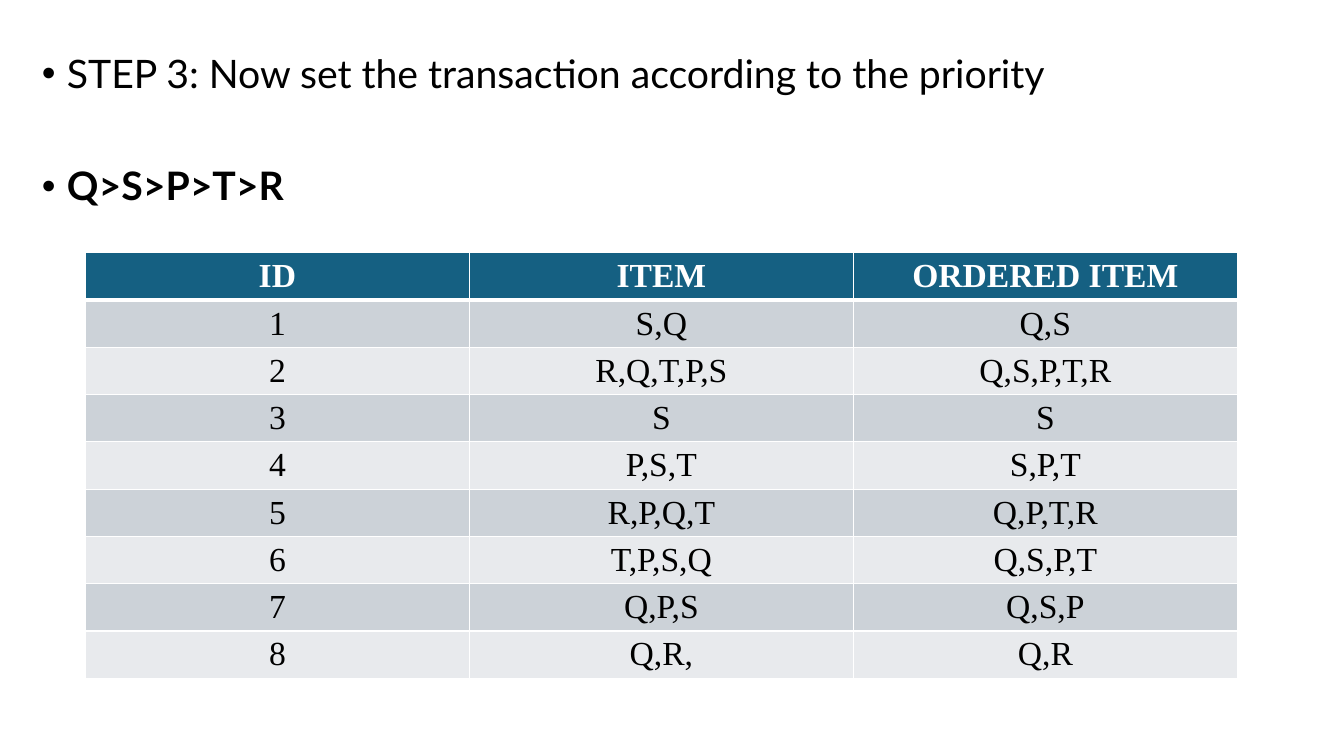
from dataclasses import dataclass

from lxml.etree import SubElement
from pptx import Presentation
from pptx.dml.color import RGBColor
from pptx.enum.text import MSO_ANCHOR, MSO_AUTO_SIZE, PP_ALIGN
from pptx.oxml.ns import qn
from pptx.util import Inches, Pt


@dataclass(frozen=True)
class Theme:
    body_font: str = "Lato"
    table_font: str = "Times New Roman"
    body_size: int = 28
    table_size: int = 24
    black: str = "000000"
    white: str = "FFFFFF"
    header: str = "156082"
    bands: tuple = ("CCD2D8", "E8EAED")
    rule: int = 1
    header_rule: int = 3


THEME = Theme()
WIDTH, HEIGHT = Inches(13.33), Inches(7.5)
GRID_COLUMNS, GRID_ROWS = 14, 18

STEPS = [
    ("STEP 3: Now set the transaction according to the priority", False, 0),
    ("Q>S>P>T>R", True, 50),
]
HEADINGS = ("ID", "ITEM", "ORDERED ITEM")
TRANSACTIONS = [
    ("S,Q", "Q,S"),
    ("R,Q,T,P,S", "Q,S,P,T,R"),
    ("S", "S"),
    ("P,S,T", "S,P,T"),
    ("R,P,Q,T", "Q,P,T,R"),
    ("T,P,S,Q", "Q,S,P,T"),
    ("Q,P,S", "Q,S,P"),
    ("Q,R,", "Q,R"),
]


def columns(n):
    return round(WIDTH * n / GRID_COLUMNS)


def rows(n):
    return round(HEIGHT * n / GRID_ROWS)


def set_attributes(obj, values):
    for name, value in values.items():
        setattr(obj, name, value)


def add_run(p, text, font, size, color, bold):
    r = p.add_run()
    r.text = text
    set_attributes(r.font, {"name": font, "size": Pt(size), "bold": bold})
    r.font.color.rgb = RGBColor.from_string(color)


def add_bullet(p):
    pPr = p._p.get_or_add_pPr()
    set_attributes(p, {"level": 0})
    pPr.set("marL", str(Inches(0.25)))
    pPr.set("indent", str(-Inches(0.25)))
    SubElement(pPr, qn("a:buFont"), typeface="Arial")
    SubElement(pPr, qn("a:buChar"), char="•")


def fill_body(sp, steps):
    set_attributes(sp, {"left": columns(0.33), "top": rows(1.18),
                        "width": columns(13.2), "height": rows(15.02)})
    tf = sp.text_frame
    set_attributes(tf, {"word_wrap": True, "auto_size": MSO_AUTO_SIZE.NONE,
                        "vertical_anchor": MSO_ANCHOR.TOP})
    for i, (text, bold, gap) in enumerate(steps):
        p = tf.add_paragraph() if i else tf.paragraphs[0]
        add_bullet(p)
        set_attributes(p, {"line_spacing": 0.9, "space_before": Pt(gap)})
        add_run(p, text, THEME.body_font, THEME.body_size, THEME.black, bold)


def add_borders(cell, top, bottom):
    tcPr = cell._tc.get_or_add_tcPr()
    sides = {"L": THEME.rule, "R": THEME.rule, "T": top, "B": bottom}
    for side, width in sides.items():
        ln = SubElement(tcPr, qn(f"a:ln{side}"), w=str(Pt(width)))
        SubElement(SubElement(ln, qn("a:solidFill")), qn("a:srgbClr"), val=THEME.white)


def format_cell(cell, text, row):
    is_header = row == 0
    add_borders(cell,
                THEME.header_rule if row == 1 else THEME.rule,
                THEME.header_rule if is_header else THEME.rule)
    fill = THEME.header if is_header else THEME.bands[(row - 1) % 2]
    cell.fill.solid()
    cell.fill.fore_color.rgb = RGBColor.from_string(fill)
    p = cell.text_frame.paragraphs[0]
    p.alignment = PP_ALIGN.CENTER
    color = THEME.white if is_header else THEME.black
    add_run(p, text, THEME.table_font, THEME.table_size, color, is_header)


def add_transaction_table(slide):
    records = [HEADINGS] + [(str(i), *items) for i, items in enumerate(TRANSACTIONS, 1)]
    table = slide.shapes.add_table(
        len(records), len(HEADINGS), columns(0.89), rows(6.02),
        columns(4 * len(HEADINGS)), rows(len(records))).table
    for row, record in enumerate(records):
        for col, text in enumerate(record):
            format_cell(table.cell(row, col), text, row)


def main():
    prs = Presentation()
    set_attributes(prs, {"slide_width": WIDTH, "slide_height": HEIGHT})
    slide = prs.slides.add_slide(prs.slide_layouts[1])
    title = slide.shapes.title
    title._element.getparent().remove(title._element)
    fill_body(slide.placeholders[1], STEPS)
    add_transaction_table(slide)
    prs.save("out.pptx")


if __name__ == "__main__":
    main()
